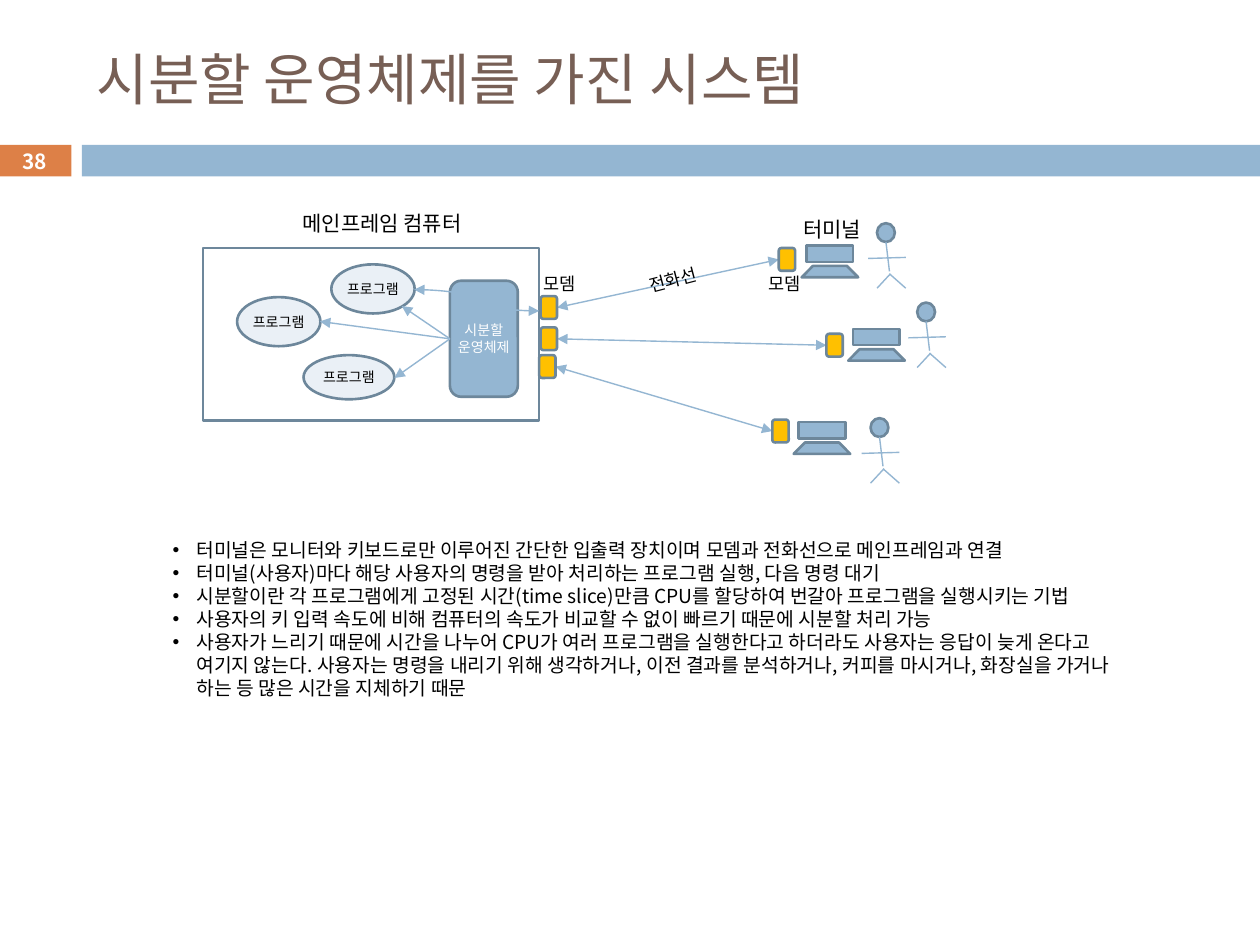
from lxml import etree
from pptx import Presentation
from pptx.dml.color import RGBColor
from pptx.enum import shapes, text
from pptx.oxml import ns
from pptx.util import Cm, Pt

FONT = "Noto Sans CJK KR"
COLORS = {"orange": "DD8047", "blue": "94B6D2", "edge": "6D879B", "pale": "EAF0F6",
          "modem": "FFC000", "title": "775F55", "white": "FFFFFF", "black": "000000"}

# Content; all lengths in centimetres
TITLE = "시분할 운영체제를 가진 시스템"
PAGE_NUMBER = "38"
SYSTEM_BOX = (9.07, 5.66, 1.37, 2.34)
PROGRAMS = [  # ellipse, arrow tip
    ((6.12, 7.16, 1.83, 0.89), (7.95, 7.62)),
    ((6.68, 5.33, 1.68, 0.99), (8.1, 6.17)),
    ((4.78, 5.99, 1.68, 0.99), (6.45, 6.48)),
]
STATIONS = [  # mainframe modem, remote modem, screen, head
    ((10.9, 5.97), (15.7, 5), (16.26, 4.95), (17.68, 4.5)),
    ((10.9, 6.6), (16.66, 6.73), (17.2, 6.63), (18.49, 6.1)),
    ((10.87, 7.16), (15.57, 8.46), (16.1, 8.51), (17.55, 8.43)),
]
MODEM_SIZE = (0.33, 0.46)
LIMBS = [  # offsets from the head's corner: arms, body, two legs
    (-0.18, 0.71, 0.58, 0.69), (0.18, 0.38, 0.25, 0.97),
    (0.27, 1.02, 0, 1.31), (0.25, 1.02, 0.58, 1.31),
]
LABELS = [  # text, box, size, rotation
    ("메인프레임 컴퓨터", (5.66, 4.11, 4.09, 0.76), 12, 0),
    ("터미널", (15.88, 4.24, 1.8, 0.76), 12, 0),
    ("모뎀", (15.21, 5.38, 1.22, 0.69), 10, 0),
    ("전화선", (12.78, 5.31, 1.57, 0.69), 10, -14.6),
    ("모뎀", (10.67, 5.38, 1.22, 0.69), 10, 0),
]
NOTES = [
    "터미널은 모니터와 키보드로만 이루어진 간단한 입출력 장치이며 모뎀과 전화선으로 메인프레임과 연결",
    "터미널(사용자)마다 해당 사용자의 명령을 받아 처리하는 프로그램 실행, 다음 명령 대기",
    "시분할이란 각 프로그램에게 고정된 시간(time slice)만큼 CPU를 할당하여 번갈아 프로그램을 실행시키는 기법",
    "사용자의 키 입력 속도에 비해 컴퓨터의 속도가 비교할 수 없이 빠르기 때문에 시분할 처리 가능",
    "사용자가 느리기 때문에 시간을 나누어 CPU가 여러 프로그램을 실행한다고 하더라도 사용자는 "
    "응답이 늦게 온다고 여기지 않는다. 사용자는 명령을 내리기 위해 생각하거나, 이전 결과를 "
    "분석하거나, 커피를 마시거나, 화장실을 가거나 하는 등 많은 시간을 지체하기 때문",
]

KIND = shapes.MSO_SHAPE
LINE = shapes.MSO_CONNECTOR
CENTER = text.PP_ALIGN.CENTER


def color(name):
    return RGBColor.from_string(COLORS[name])


def style_text(paragraph, words, size, name, align=None, bold=None):
    paragraph.text = words
    paragraph.alignment = align
    font = paragraph.font
    font.size, font.name, font.bold = Pt(size), FONT, bold
    font.color.rgb = color(name)
    # East Asian typeface, placed right after the Latin one
    latin = font._element.find(ns.qn("a:latin"))
    east_asian = etree.Element(ns.qn("a:ea"), typeface=FONT)
    latin.addnext(east_asian)


def add_shape(parent, kind, box, fill=None, edge="edge"):
    shape = parent.add_shape(kind, *map(Cm, box))
    shape.shadow.inherit = False
    if fill:
        shape.fill.solid()
        shape.fill.fore_color.rgb = color(fill)
    else:
        shape.fill.background()
    if edge:
        shape.line.color.rgb = color(edge)
        shape.line.width = Pt(1.5)
    else:
        shape.line.fill.background()
    return shape


def fill_text(shape, words, size, name, bold=None):
    frame = shape.text_frame
    frame.margin_left = frame.margin_right = frame.margin_top = frame.margin_bottom = 0
    frame.word_wrap = True
    frame.vertical_anchor = text.MSO_ANCHOR.MIDDLE
    style_text(frame.paragraphs[0], words, size, name, CENTER, bold)


def add_line(parent, start, end, arrows=(), kind=LINE.STRAIGHT):
    connector = parent.add_connector(kind, *map(Cm, (*start, *end)))
    connector.line.color.rgb = color("blue")
    connector.line.width = Pt(0.79)
    outline = connector.line._get_or_add_ln()
    for arrow in arrows:
        etree.SubElement(outline, ns.qn(f"a:{arrow}"), type="triangle")
    etree.SubElement(connector._element.spPr, ns.qn("a:effectLst"))


def add_text(parent, box, wrap):
    textbox = parent.add_textbox(*map(Cm, box))
    textbox.text_frame.word_wrap = wrap
    return textbox


def add_person(parent, x, y):
    person = parent.add_group_shape().shapes
    add_shape(person, KIND.OVAL, (x, y, 0.36, 0.38), "blue")
    for x1, y1, x2, y2 in LIMBS:
        add_line(person, (x + x1, y + y1), (x + x2, y + y2))


def add_terminal(parent, x, y):
    terminal = parent.add_group_shape().shapes
    add_shape(terminal, KIND.RECTANGLE, (x, y, 0.94, 0.33), "blue")
    keyboard = add_shape(terminal, KIND.FLOWCHART_MANUAL_OPERATION,
                         (x - 0.1, y + 0.41, 1.14, 0.23), "blue")
    keyboard.rotation = 180


def main():
    presentation = Presentation()
    presentation.slide_width, presentation.slide_height = Cm(25.4), Cm(19.05)
    slide = presentation.slides.add_slide(presentation.slide_layouts[6])
    canvas = slide.shapes

    # Header band and title
    page = add_shape(canvas, KIND.RECTANGLE, (-0.03, 2.92, 1.47, 0.64), "orange", None)
    fill_text(page, PAGE_NUMBER, 11.9, "white", True)
    add_shape(canvas, KIND.RECTANGLE, (1.65, 2.92, 23.75, 0.64), "blue", None)
    title = add_text(canvas, (1.7, 0.64, 22.66, 1.88), True).text_frame
    title.vertical_anchor = text.MSO_ANCHOR.MIDDLE
    style_text(title.paragraphs[0], TITLE, 32, "title")

    # Mainframe with its operating system and programs
    add_shape(canvas, KIND.RECTANGLE, (4.09, 5, 6.78, 3.48))
    system = add_shape(canvas, KIND.ROUNDED_RECTANGLE, SYSTEM_BOX, "blue")
    fill_text(system, "시분할 운영체제", 8, "white")
    left, top, _, height = SYSTEM_BOX
    for box, tip in PROGRAMS:
        program = add_shape(canvas, KIND.OVAL, box, "pale")
        fill_text(program, "프로그램", 8, "black")
        add_line(canvas, (left, top + height / 2), tip, ["tailEnd"])
    both_ends = ["headEnd", "tailEnd"]
    add_line(canvas, (10.87, 6.27), (8.35, 5.84), both_ends, LINE.CURVE)

    # Terminals, users and phone lines
    width, height = MODEM_SIZE
    for local, remote, screen, head in STATIONS:
        add_person(canvas, *head)
        add_terminal(canvas, *screen)
        add_line(canvas, (remote[0], remote[1] + height / 2),
                 (local[0] + width, local[1] + height / 2), both_ends)
        for corner in (local, remote):
            add_shape(canvas, KIND.ROUNDED_RECTANGLE, (*corner, *MODEM_SIZE), "modem")

    # Labels
    for words, box, size, rotation in LABELS:
        label = add_text(canvas, box, False)
        label.rotation = rotation
        style_text(label.text_frame.paragraphs[0], words, size, "black", CENTER)

    # Bulleted notes
    frame = add_text(canvas, (3.23, 10.72, 19.61, 4.01), True).text_frame
    for index, note in enumerate(NOTES):
        paragraph = frame.add_paragraph() if index else frame.paragraphs[0]
        properties = paragraph._p.get_or_add_pPr()
        properties.set("marL", str(Cm(0.48)))
        properties.set("indent", str(-Cm(0.48)))
        etree.SubElement(properties, ns.qn("a:buFont"), typeface="Arial")
        etree.SubElement(properties, ns.qn("a:buChar"), char="•")
        style_text(paragraph, note, 11, "black")

    presentation.save("out.pptx")


if __name__ == "__main__":
    main()
